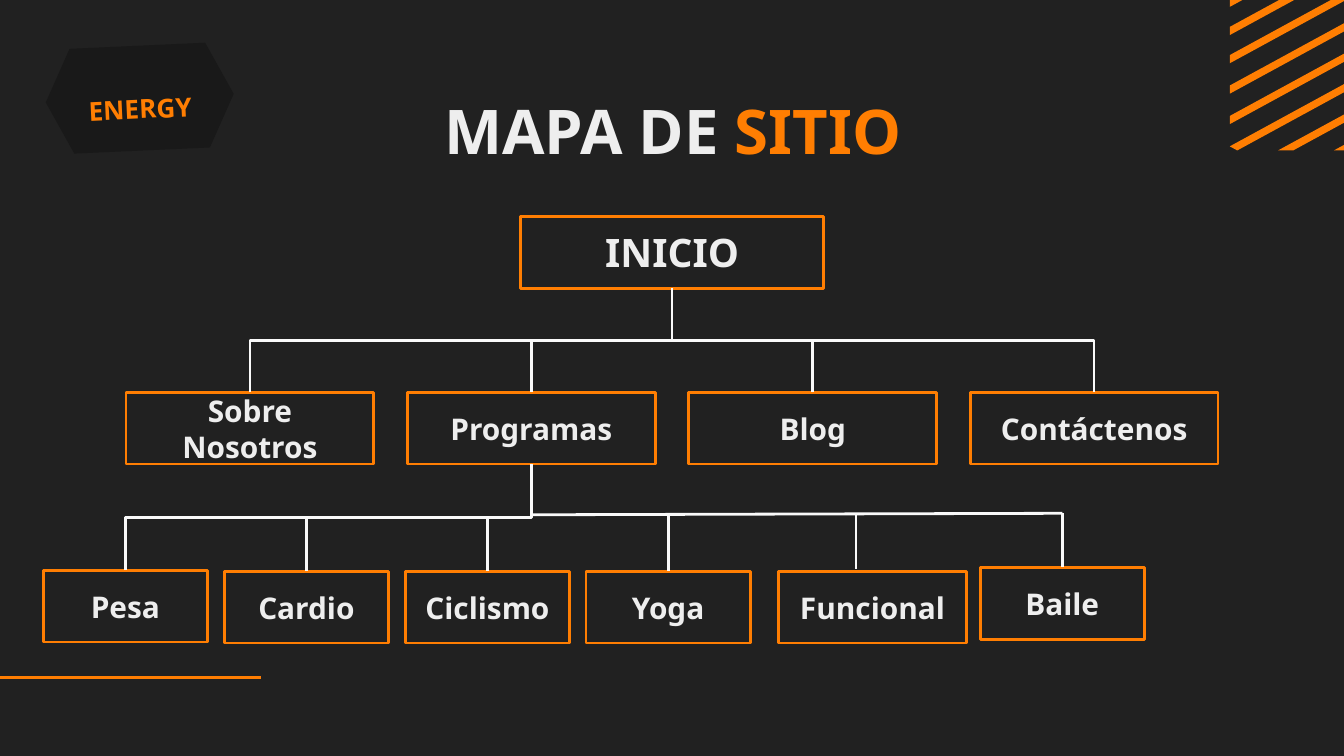
"""Builds the ENERGY site map slide."""
from pptx import Presentation
from pptx.dml.color import RGBColor
from pptx.enum.shapes import MSO_CONNECTOR, MSO_SHAPE
from pptx.enum.text import MSO_ANCHOR, PP_ALIGN
from pptx.oxml.ns import qn
from pptx.util import Pt
from lxml import etree

STRAIGHT, ELBOW = MSO_CONNECTOR.STRAIGHT, MSO_CONNECTOR.ELBOW
RECTANGLE, HEXAGON = MSO_SHAPE.RECTANGLE, MSO_SHAPE.HEXAGON
TOP, MIDDLE = MSO_ANCHOR.TOP, MSO_ANCHOR.MIDDLE
CENTER = PP_ALIGN.CENTER
BACKGROUND = RGBColor(0x21, 0x21, 0x21)
BADGE = RGBColor(0x19, 0x19, 0x19)
ORANGE = RGBColor(0xFF, 0x7E, 0x02)
LIGHT = RGBColor(0xEE, 0xEE, 0xEE)
WHITE = RGBColor(0xFA, 0xFA, 0xFA)
FONT = "Noto Sans"


def write(sp, *runs, size, anchor=MIDDLE, insets=(7.2, 7.2, 7.2, 7.2)):
    tf = sp.text_frame
    tf.word_wrap = True
    tf.vertical_anchor = anchor
    tf.margin_left, tf.margin_top, tf.margin_right, tf.margin_bottom = map(Pt, insets)
    p = tf.paragraphs[0]
    p.alignment = CENTER
    for text, color in runs:
        r = p.add_run()
        r.text = text
        r.font.name = FONT
        r.font.size = Pt(size)
        r.font.bold = True
        r.font.color.rgb = color


def elbow(parent, child):
    c = shapes.add_connector(ELBOW, 0, 0, 0, 0)
    c.begin_connect(parent, 2)
    c.end_connect(child, 0)
    w, h = c.width, c.height
    c.left, c.top = c.left + (w - h) // 2, c.top + (h - w) // 2
    c.width, c.height = h, w
    rightward = child.left > parent.left
    xfrm = c._element.spPr.find(qn("a:xfrm"))
    xfrm.set("rot", "16200000" if rightward else "5400000")
    xfrm.set("flipH", "1" if rightward else "0")
    return c


prs = Presentation()
prs.slide_width, prs.slide_height = Pt(720), Pt(405)
s = prs.slides.add_slide(prs.slide_layouts[6])
s.background.fill.solid()
s.background.fill.fore_color.rgb = BACKGROUND
shapes = s.shapes

left, top, right, bottom = 658.8, -20.9, 760.3, 80.6
slope, thickness = 0.545, 4.4
stripes = []
for k in range(10):
    y = -15.8 + 15.1 * min(k, 3) + 16.3 * max(k - 3, 0)
    ends = []
    for edge in (y, y + thickness):
        x0 = left + max(0, (edge - bottom) / slope)
        x1 = min(right, left + (edge - top) / slope)
        ends.append([(Pt(x), Pt(edge - slope * (x - left))) for x in (x0, x1)])
    stripes.append(ends[0] + ends[1][::-1])
fb = shapes.build_freeform(*stripes[0][0], scale=1.0)
for k, stripe in enumerate(stripes):
    if k:
        fb.move_to(*stripe[0])
    fb.add_line_segments(stripe[1:], close=True)
sp = fb.convert_to_shape()
sp.shadow.inherit = False
sp.fill.solid()
sp.fill.fore_color.rgb = ORANGE
sp.line.fill.background()

sp = shapes.add_textbox(Pt(131.8), Pt(42.5), Pt(457.2), Pt(49))
write(sp, ("MAPA DE ", LIGHT), ("SITIO", ORANGE), size=33, insets=(7.2, 7.2, 7.2, 1.8))

sp = shapes.add_shape(HEXAGON, Pt(24.5), Pt(24.5), Pt(100.8), Pt(56.2))
sp.adjustments[0] = 0.25
sp.rotation = 357.4
sp.shadow.inherit = False
sp.fill.solid()
sp.fill.fore_color.rgb = BADGE
sp.line.fill.background()
sp = shapes.add_textbox(Pt(37.4), Pt(46.1), Pt(74.9), Pt(13))
sp.rotation = 357.4
write(sp, ("ENERGY", ORANGE), size=14, anchor=TOP, insets=(7.2, 3.6, 7.2, 3.6))

pages = [("INICIO", 279, 115.9, 162, 21)]
for k, name in enumerate(("Sobre Nosotros", "Programas", "Blog", "Contáctenos")):
    pages.append((name, 67.5 + 150.75 * k, 210.2, 132.8, 16))
pages += [
    ("Pesa", 23.2, 305.5, 88, 16),
    ("Cardio", 120.2, 306, 88, 16),
    ("Ciclismo", 217.2, 306, 88, 16),
    ("Yoga", 314, 306, 88, 16),
    ("Funcional", 416.9, 306, 101, 16),
    ("Baile", 525.1, 304, 88, 16),
]
boxes = {}
for name, x, y, width, size in pages:
    sp = shapes.add_shape(RECTANGLE, Pt(x), Pt(y), Pt(width), Pt(38.5))
    sp.shadow.inherit = False
    sp.fill.background()
    sp.line.color.rgb = ORANGE
    sp.line.width = Pt(1.5)
    write(sp, (name, LIGHT), size=size)
    boxes[name] = sp

links = [elbow(boxes["INICIO"], boxes[page[0]]) for page in pages[1:5]]
links.append(elbow(boxes["Programas"], boxes["Pesa"]))
for name, y in (("Cardio", 276.8), ("Ciclismo", 276.8), ("Yoga", 276.5), ("Baile", 275)):
    sp = boxes[name]
    x = sp.left + sp.width // 2
    c = shapes.add_connector(STRAIGHT, x, Pt(y), x, sp.top)
    c.end_connect(sp, 0)
    links.append(c)
links.append(shapes.add_connector(STRAIGHT, Pt(458.6), Pt(275.8), Pt(458.6), Pt(305)))
links.append(shapes.add_connector(STRAIGHT, Pt(569.1), Pt(275), Pt(284.5), Pt(275.8)))
rule = shapes.add_connector(STRAIGHT, Pt(0), Pt(362.9), Pt(139.7), Pt(362.9))
for c in links + [rule]:
    c.line.color.rgb = ORANGE if c is rule else WHITE
    c.line.width = Pt(1.5)
    etree.SubElement(c._element.spPr, qn("a:effectLst"))

prs.save("out.pptx")
